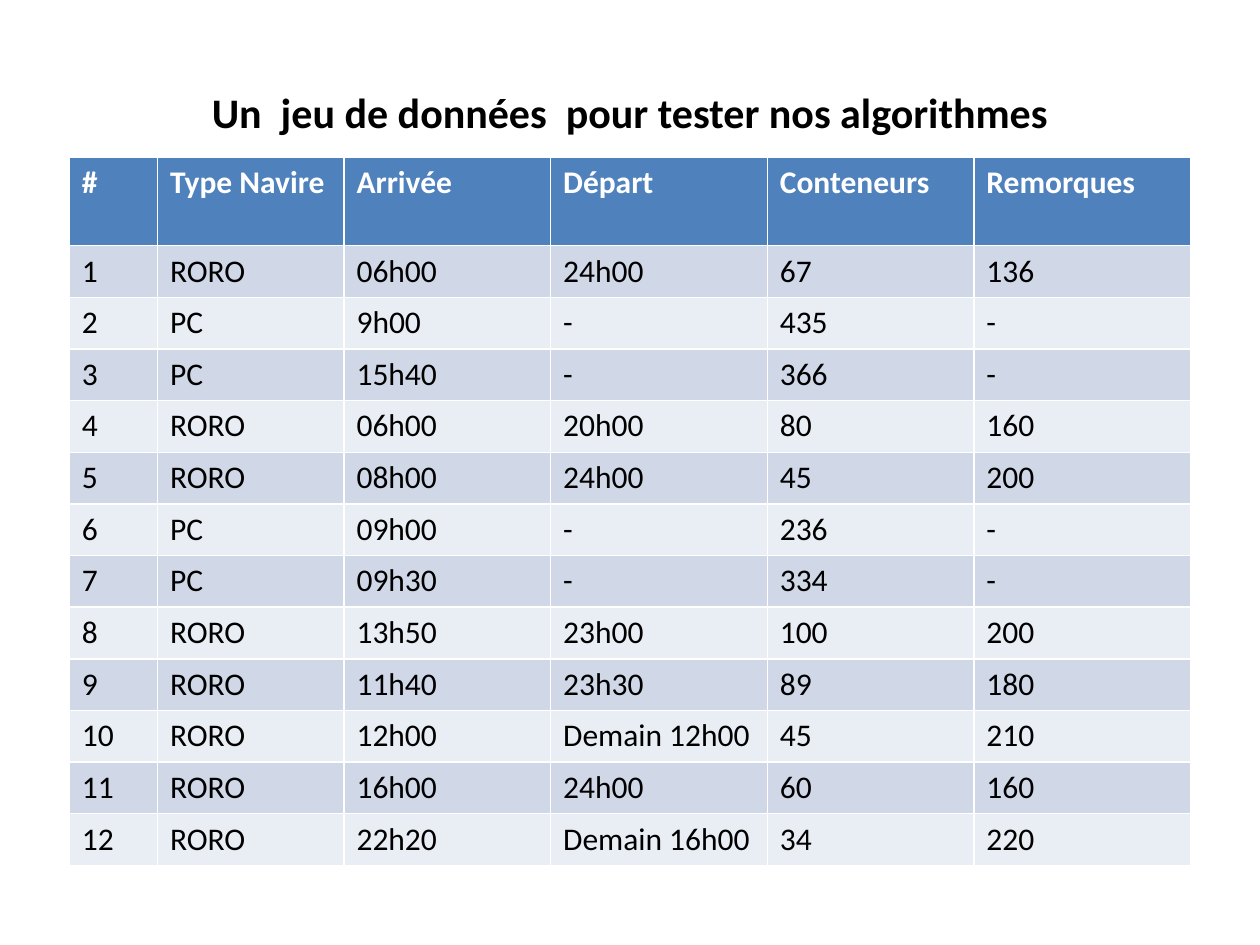
from typing import NamedTuple

from pptx import Presentation
from pptx.dml.color import RGBColor
from pptx.enum.text import MSO_ANCHOR, PP_ALIGN
from pptx.util import Inches, Pt

WHITE = RGBColor(0xFF, 0xFF, 0xFF)
BLACK = RGBColor(0x00, 0x00, 0x00)
HEADER_BLUE = RGBColor(0x4F, 0x81, 0xBD)
BANDS = (RGBColor(0xD0, 0xD8, 0xE8), RGBColor(0xE9, 0xED, 0xF4))
FONT = "Calibri"

TABLE_LEFT, TABLE_TOP = 0.55, 1.25
COLUMN_WIDTHS = (0.7, 1.48, 1.64, 1.72, 1.64, 1.72)
HEADER_HEIGHT, ROW_HEIGHT = 0.7, 0.41
HEADERS = ("#", "Type Navire", "Arrivée", "Départ", "Conteneurs", "Remorques")


class Ship(NamedTuple):
    kind: str
    arrival: str
    departure: str
    containers: str
    trailers: str


SHIPS = (
    Ship("RORO", "06h00", "24h00", "67", "136"),
    Ship("PC", "9h00", "-", "435", "-"),
    Ship("PC", "15h40", "-", "366", "-"),
    Ship("RORO", "06h00", "20h00", "80", "160"),
    Ship("RORO", "08h00", "24h00", "45", "200"),
    Ship("PC", "09h00", "-", "236", "-"),
    Ship("PC", "09h30", "-", "334", "-"),
    Ship("RORO", "13h50", "23h00", "100", "200"),
    Ship("RORO", "11h40", "23h30", "89", "180"),
    Ship("RORO", "12h00", "Demain 12h00", "45", "210"),
    Ship("RORO", "16h00", "24h00", "60", "160"),
    Ship("RORO", "22h20", "Demain 16h00", "34", "220"),
)


def style_font(font, size: float, color: RGBColor, bold: bool) -> None:
    font.name = FONT
    font.size = Pt(size)
    font.bold = bold
    font.color.rgb = color


def add_title(slide, text: str) -> None:
    title = slide.shapes.title
    title.left, title.top = Inches(0.5), Inches(0.3)
    title.width, title.height = Inches(9), Inches(1.25)
    title.text_frame.vertical_anchor = MSO_ANCHOR.MIDDLE
    paragraph = title.text_frame.paragraphs[0]
    paragraph.text = text
    paragraph.alignment = PP_ALIGN.CENTER
    paragraph.line_spacing = 0.8
    style_font(paragraph.font, 24, BLACK, True)


def fill_row(table, row: int, texts: tuple[str, ...], fill: RGBColor,
             color: RGBColor, bold: bool) -> None:
    for column, text in enumerate(texts):
        cell = table.cell(row, column)
        cell.fill.solid()
        cell.fill.fore_color.rgb = fill
        cell.text = text
        style_font(cell.text_frame.paragraphs[0].font, 18, color, bold)


def add_ship_table(slide) -> None:
    height = HEADER_HEIGHT + ROW_HEIGHT * len(SHIPS)
    table = slide.shapes.add_table(
        len(SHIPS) + 1, len(HEADERS), Inches(TABLE_LEFT), Inches(TABLE_TOP),
        Inches(sum(COLUMN_WIDTHS)), Inches(height)).table
    for column, width in zip(table.columns, COLUMN_WIDTHS):
        column.width = Inches(width)
    for row in table.rows:
        row.height = Inches(ROW_HEIGHT)
    table.rows[0].height = Inches(HEADER_HEIGHT)

    fill_row(table, 0, HEADERS, HEADER_BLUE, WHITE, True)
    for number, ship in enumerate(SHIPS, start=1):
        band = BANDS[(number - 1) % len(BANDS)]
        fill_row(table, number, (str(number), *ship), band, BLACK, False)


def main() -> None:
    presentation = Presentation()
    presentation.slide_width, presentation.slide_height = Inches(10), Inches(7.5)
    slide = presentation.slides.add_slide(presentation.slide_layouts[5])
    add_title(slide, "Un  jeu de données  pour tester nos algorithmes")
    add_ship_table(slide)
    presentation.save("out.pptx")


if __name__ == "__main__":
    main()
